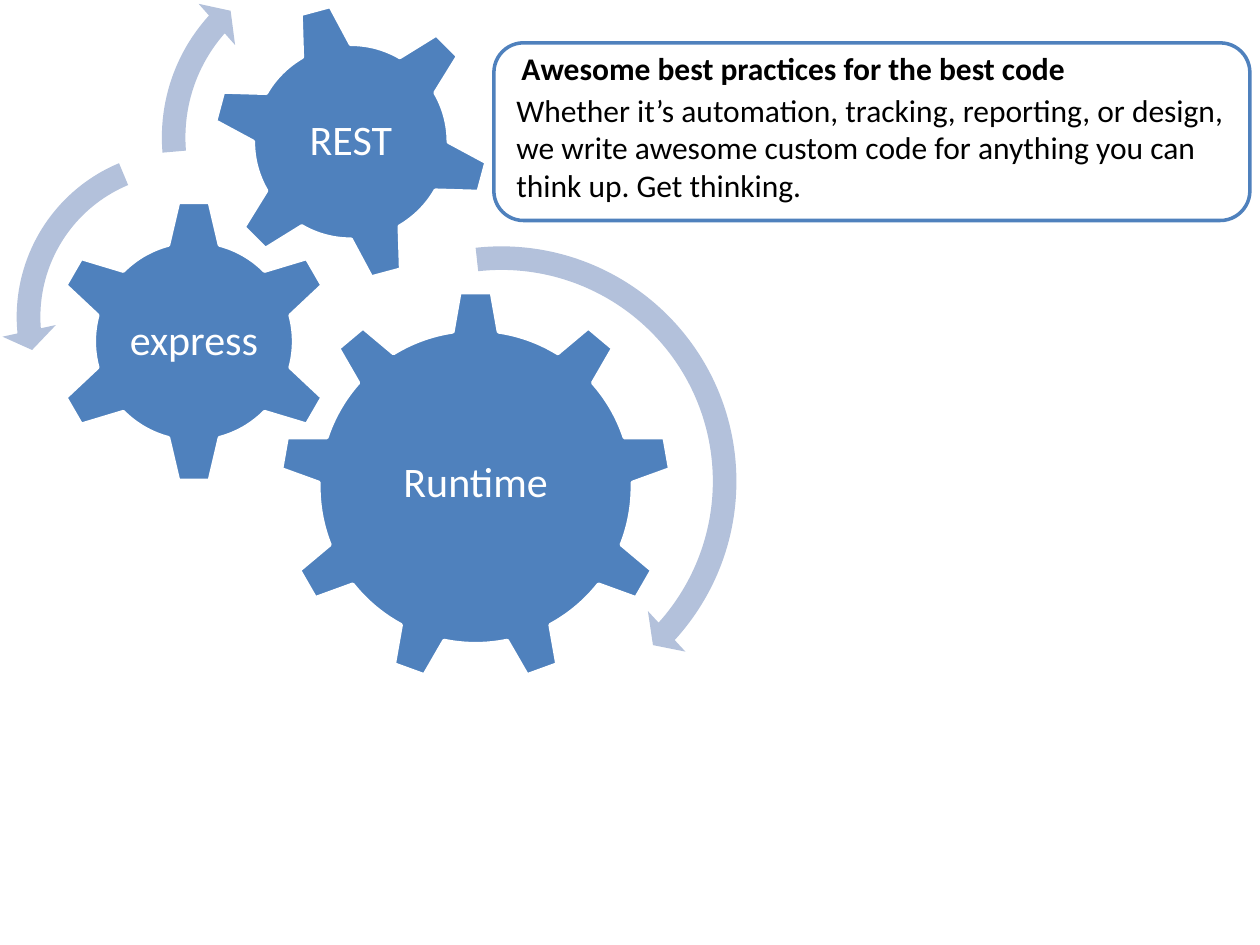
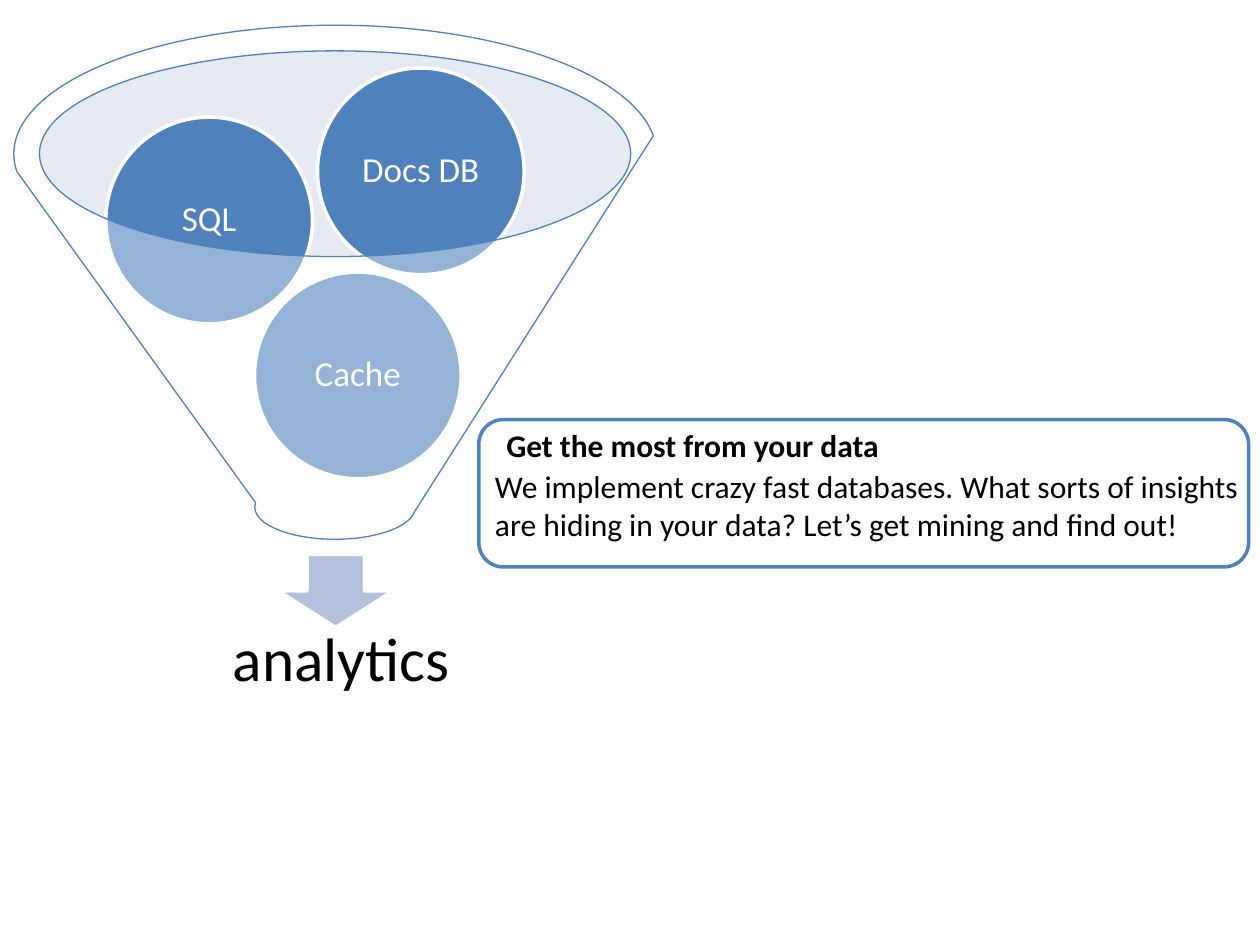
from lxml import etree
from pptx import Presentation
from pptx.dml.color import RGBColor
from pptx.enum.shapes import MSO_SHAPE
from pptx.enum.text import MSO_ANCHOR, PP_ALIGN
from pptx.oxml.ns import qn
from pptx.util import Inches, Pt

ROUNDED = MSO_SHAPE.ROUNDED_RECTANGLE
ELLIPSE = MSO_SHAPE.OVAL
GEAR_SIX = MSO_SHAPE.GEAR_6
GEAR_NINE = MSO_SHAPE.GEAR_9
ARROW_RIGHT_TURN = MSO_SHAPE.CIRCULAR_ARROW
ARROW_LEFT_TURN = MSO_SHAPE.LEFT_CIRCULAR_ARROW
ARROW_DOWN = MSO_SHAPE.DOWN_ARROW
FUNNEL = MSO_SHAPE.FUNNEL
MIDDLE = MSO_ANCHOR.MIDDLE
CENTER = PP_ALIGN.CENTER

FONT = "Calibri"
COLORS = {
    "blue": "4F81BD",
    "arrow": "B3C1DB",
    "rim": "C2CDE1",
    "white": "FFFFFF",
    "text": "000000",
}
CIRCLE = 1.64


def color(name):
    return RGBColor.from_string(COLORS[name])


def add_shape(page, kind, left, top, width, height, fill, line=None, weight=2, opacity=None):
    shape = page.shapes.add_shape(
        kind, Inches(left), Inches(top), Inches(width), Inches(height))
    shape.shadow.inherit = False
    shape.fill.solid()
    shape.fill.fore_color.rgb = color(fill)
    if opacity is not None:
        value = shape.fill._xPr.find(qn("a:solidFill"))[0]
        etree.SubElement(value, qn("a:alpha"), val=str(opacity * 1000))
    if line:
        shape.line.color.rgb = color(line)
        shape.line.width = Pt(weight)
    else:
        shape.line.fill.background()
    return shape


def add_box(page, left, top, width, height):
    return page.shapes.add_textbox(
        Inches(left), Inches(top), Inches(width), Inches(height))


def write(shape, text, size, ink, bold=False, wrap=True):
    frame = shape.text_frame
    frame.word_wrap = wrap
    paragraph = frame.paragraphs[0]
    paragraph.text = text
    font = paragraph.font
    font.name, font.size, font.bold = FONT, Pt(size), bold
    font.color.rgb = color(ink)
    return frame


def write_label(shape, text, size, ink="white"):
    """Text centred in a shape, with narrow margins."""
    frame = write(shape, text, size, ink)
    frame.vertical_anchor = MIDDLE
    frame.margin_left = frame.margin_right = Inches(0.03)
    frame.margin_top = frame.margin_bottom = Inches(0.03)
    frame.paragraphs[0].alignment = CENTER
    frame.paragraphs[0].line_spacing = 0.9


def add_card(page, box, title, body, body_inset, body_width):
    """Outlined card with a bold title over its body text."""
    left, top, width, height = box
    add_shape(page, ROUNDED, left, top, width, height, "white", "blue")
    title_box = add_box(page, left + 0.12, top, width - 1.45, 0.4)
    write(title_box, title, 18, "text", bold=True, wrap=False)
    body_box = add_box(page, left + body_inset, top + 0.33, body_width, 1.01)
    write(body_box, body, 18, "text")


def add_turn(page, kind, left, top, size, thickness, head, angles):
    """Curved arrow: thickness and head in percent, angles in degrees."""
    arrow = add_shape(page, kind, left, top, size, size, "arrow")
    values = [thickness / 100, *(angle * 0.6 for angle in angles), head / 100]
    for index, value in enumerate(values):
        arrow.adjustments[index] = value


def add_gears(page, left, top):
    """Three meshed gears and the arrows that show how they turn."""
    gears = [
        ("Runtime", GEAR_NINE, 2.22, 2.31, 3.11, 0),
        ("express", GEAR_SIX, 0.41, 1.58, 2.26, 0),
        ("REST", GEAR_SIX, 1.68, 0.02, 2.21, 345),
    ]
    for name, kind, x, y, size, rotation in gears:
        gear = add_shape(page, kind, left + x, top + y, size, size, "blue", "white")
        gear.rotation = rotation
        label = gear
        if rotation:  # a level label over a tilted gear
            inset = 0.48
            side = size - 2 * inset
            label = add_box(page, left + x + inset, top + y + inset, side, side)
        write_label(label, name, 24)

    turns = [
        (ARROW_RIGHT_TURN, 1.99, 1.83, 3.98, 4.7, 5.5, (4.98, 42.26, 263.68)),
        (ARROW_LEFT_TURN, 0.01, 1.07, 2.89, 6.5, 7.5, (7.17, 174.82, 247.3)),
        (ARROW_RIGHT_TURN, 1.16, -0.47, 3.12, 6, 7, (6.57, 221.9, 175.14)),
    ]
    for kind, x, y, size, thickness, head, angles in turns:
        add_turn(page, kind, left + x, top + y, size, thickness, head, angles)


def add_funnel(page, left, top):
    """Funnel of data stores that pours into one result."""
    add_shape(page, ELLIPSE, left + 0.2, top + 0.2, 4.7, 1.63, "rim", opacity=40)
    add_shape(page, ARROW_DOWN, left + 2.1, top + 4.2, 0.91, 0.58, "arrow", "white")
    result = add_box(page, left + 0.41, top + 4.51, 4.38, 1.09)
    write_label(result, "analytics", 35, "text")

    stores = [("Cache", 1.91, 1.96), ("SQL", 0.73, 0.73), ("Docs DB", 2.41, 0.34)]
    for name, x, y in stores:
        circle = add_shape(page, ELLIPSE, left + x, top + y, CIRCLE, CIRCLE, "blue", "white")
        write_label(circle, name, 20)

    add_shape(page, FUNNEL, left, top, 5.1, 4.08, "white", "blue", 0.75, opacity=40)


def main():
    deck = Presentation()
    deck.slide_width, deck.slide_height = Inches(10), Inches(7.5)
    blank = deck.slide_layouts[6]

    # Code slide
    page = deck.slides.add_slide(blank)
    add_card(
        page, (3.92, 0.34, 6, 1.41),
        "Awesome best practices for the best code",
        "Whether it’s automation, tracking, reporting, or design, we write "
        "awesome custom code for anything you can think up. Get thinking.",
        0.08, 5.83)
    add_gears(page, 0, 0)

    # Data slide
    page = deck.slides.add_slide(blank)
    add_card(
        page, (3.8, 3.33, 6.11, 1.17),
        "Get the most from your data",
        "We implement crazy fast databases. What sorts of insights are hiding "
        "in your data? Let’s get mining and find out!",
        0.03, 6.17)
    add_funnel(page, 0.11, 0.2)

    deck.save("out.pptx")


if __name__ == "__main__":
    main()
